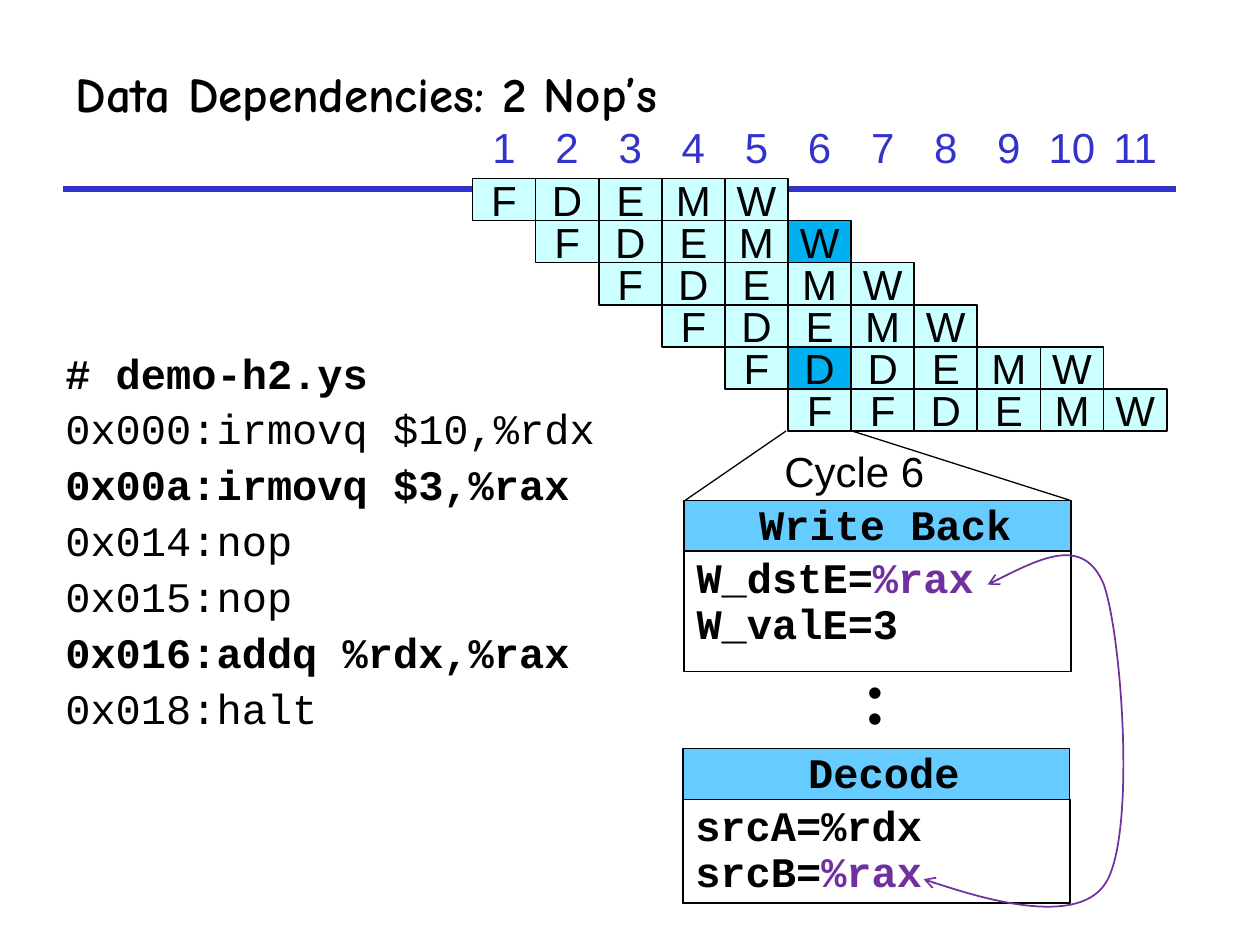
import pptx
import pptx.util
import pptx.dml.color
import pptx.enum.shapes
import pptx.enum.text
import pptx.oxml.ns
import lxml.etree

COLORS = {
    "ink": "000000", "paper": "FFFFFF", "rule": "3333CC", "stage": "CCFFFF",
    "active": "00B0F0", "header": "66CCFF", "register": "7030A0",
}
SANS, MONO, HEADING = "Arial", "Courier New", "Comic Neue"
COLUMNS, ROWS = 100, 75
ALIGN = pptx.enum.text.PP_ALIGN
ANCHOR = pptx.enum.text.MSO_ANCHOR
RECTANGLE = pptx.enum.shapes.MSO_SHAPE.RECTANGLE

deck = pptx.Presentation()
deck.slide_width = pptx.util.Inches(10)
deck.slide_height = pptx.util.Inches(7.5)
slide = deck.slides.add_slide(deck.slide_layouts[5])


def across(columns):
    return round(deck.slide_width * columns / COLUMNS)


def down(rows):
    return round(deck.slide_height * rows / ROWS)


def place(box):
    left, top, width, height = box
    return across(left), down(top), across(width), down(height)


def rgb(name):
    return pptx.dml.color.RGBColor.from_string(COLORS[name])


def add_run(paragraph, text, font=SANS, color="ink", bold=False, size=24):
    run = paragraph.add_run()
    run.text = text
    run.font.name = font
    run.font.size = pptx.util.Pt(size)
    run.font.bold = bold
    run.font.color.rgb = rgb(color)


def add_lines(frame, lines, space=0):
    for index, runs in enumerate(lines):
        paragraph = frame.paragraphs[0] if index == 0 else frame.add_paragraph()
        properties = paragraph._p.get_or_add_pPr()
        properties.set("marL", str(across(3.75)))
        properties.set("indent", str(-across(3.75)))
        paragraph.alignment = ALIGN.LEFT
        paragraph.line_spacing = 0.9
        paragraph.space_before = pptx.util.Pt(space if index else 0)
        for text, color, bold in runs:
            add_run(paragraph, text, MONO, color, bold)


def add_label(box, text, font=SANS, bold=False):
    frame = slide.shapes.add_textbox(*place(box)).text_frame
    frame.margin_left = frame.margin_right = frame.margin_top = frame.margin_bottom = 0
    frame.word_wrap = False
    paragraph = frame.paragraphs[0]
    paragraph.alignment = ALIGN.CENTER
    paragraph.line_spacing = 0.9
    add_run(paragraph, text, font, bold=bold)


def add_rectangle(box, fill, border=None):
    rectangle = slide.shapes.add_shape(RECTANGLE, *place(box))
    rectangle.shadow.inherit = False
    rectangle.fill.solid()
    rectangle.fill.fore_color.rgb = rgb(fill)
    if border:
        rectangle.line.color.rgb = rgb("ink")
        rectangle.line.width = pptx.util.Pt(border)
    else:
        rectangle.line.fill.background()
    return rectangle


def add_line(start, end, color, width):
    line = slide.shapes.add_connector(
        pptx.enum.shapes.MSO_CONNECTOR.STRAIGHT,
        across(start[0]), down(start[1]), across(end[0]), down(end[1]))
    line.line.color.rgb = rgb(color)
    line.line.width = pptx.util.Pt(width)
    lxml.etree.SubElement(line._element.spPr, pptx.oxml.ns.qn("a:effectLst"))


def add_heading(box, text):
    left, top, width, height = box
    title = slide.shapes.title
    title.left, title.top, title.width, title.height = place(box)
    title.text_frame.vertical_anchor = ANCHOR.MIDDLE
    title.text_frame.auto_size = pptx.enum.text.MSO_AUTO_SIZE.NONE
    paragraph = title.text_frame.paragraphs[0]
    paragraph.alignment = ALIGN.LEFT
    add_run(paragraph, text, HEADING, bold=True, size=28)
    rule = top + height + 3.4
    add_line((left, rule), (left + width - 5, rule), "rule", 3)


def add_listing(box, lines):
    frame = slide.shapes.add_textbox(*place(box)).text_frame
    frame.word_wrap = True
    add_lines(frame, lines, space=6)


def add_cell(box, text, fill, color="ink", border=None):
    cell = add_rectangle(box, fill, border)
    frame = cell.text_frame
    frame.word_wrap = False
    frame.vertical_anchor = ANCHOR.MIDDLE
    paragraph = frame.paragraphs[0]
    paragraph.alignment = ALIGN.CENTER
    add_run(paragraph, text, color=color)


def add_pipeline(box, cycles, instructions, active):
    left, top, width, height = box
    step_x = width / cycles
    step_y = height / (len(instructions) + 1.25)
    first_row = top + 1.25 * step_y
    for cycle in range(cycles):
        add_cell((left + cycle * step_x, top, step_x, step_y),
                 str(cycle + 1), "paper", "rule")
    for row, stages in enumerate(instructions):
        for column, stage in enumerate(stages, start=row):
            fill = "active" if (row, column) in active else "stage"
            add_cell((left + column * step_x, first_row + row * step_y, step_x, step_y),
                     stage, fill, border=1)


def add_stage_panel(box, name, lines):
    left, top, width, height = box
    header = 4.05
    add_rectangle(box, "header", 0.75)
    add_label((left + 0.6, top + 0.3, width, header - 0.3), name, MONO, True)
    body = add_rectangle((left, top + header, width, height - header), "paper", 1)
    body.text_frame.word_wrap = True
    body.text_frame.vertical_anchor = ANCHOR.TOP
    add_lines(body.text_frame, lines)


def add_zoom(box, cycle_left, cycle_right, caption):
    left, top, width, height = box
    add_line((cycle_left, top), (left, top + height), "ink", 0.75)
    add_line((cycle_right, top), (left + width, top + height), "ink", 0.75)
    add_label((62.2, top + 1.6, 11.2, 3.6), caption)


def add_ellipsis(box):
    left, top, width, height = box
    for dot in range(2):
        add_label((left, top + dot * height / 2, width, 3.6), "•")


def add_dependency(box, curve):
    left, top, width, height = box
    points = [(across(left + x * width), down(top + y * height)) for x, y in curve]
    builder = slide.shapes.build_freeform(*points[0], scale=1.0)
    builder.add_line_segments(points[1:], close=False)
    link = builder.convert_to_shape()
    link.shadow.inherit = False
    link.fill.background()
    link.line.color.rgb = rgb("register")
    link.line.width = pptx.util.Pt(1)
    qn = pptx.oxml.ns.qn
    segments = list(link._element.iter(qn("a:lnTo")))
    for start in range(0, len(segments), 3):
        bezier = lxml.etree.Element(qn("a:cubicBezTo"))
        segments[start].addprevious(bezier)
        for segment in segments[start:start + 3]:
            bezier.append(segment[0])
            segment.getparent().remove(segment)
    outline = link.line._get_or_add_ln()
    for end in ("a:headEnd", "a:tailEnd"):
        lxml.etree.SubElement(outline, qn(end), type="arrow")


def main():
    add_heading((5, 3.1, 93.3, 8.5), "Data Dependencies: 2 Nop’s")
    add_listing((4.2, 27.5, 49.2, 39.1), [
        [("# demo-h2.ys", "ink", True)],
        [("0x000:irmovq $10,%rdx", "ink", False)],
        [("0x00a:irmovq $3,%rax", "ink", True)],
        [("0x014:nop", "ink", False)],
        [("0x015:nop", "ink", False)],
        [("0x016:addq %rdx,%rax", "ink", True)],
        [("0x018:halt", "ink", False)],
    ])
    add_ellipsis((68.85, 53.3, 1.1, 4.1))
    add_stage_panel((54.2, 59.4, 30.7, 12.3), "Decode", [
        [("srcA=%rdx", "ink", True)],
        [("srcB=", "ink", True), ("%rax", "register", True)],
    ])
    add_stage_panel((54.3, 39.7, 30.7, 13.6), "Write Back", [
        [("W_dstE=", "ink", True), ("%rax", "register", True)],
        [("W_valE=3", "ink", True)],
    ])
    add_zoom((54.4, 34.2, 30.5, 5.5), 62.4, 67.6, "Cycle 6")
    add_pipeline((37.5, 10, 55.1, 24.2), 11,
                 ["FDEMW"] * 4 + ["FDDEMW", "FFDEMW"], {(1, 5), (4, 5)})
    add_dependency((73.3, 44.2, 15.9, 27.5), [
        (0.32, 0.08), (0.56, 0.01), (0.8, -0.06), (0.9, 0.08),
        (0.99, 0.23), (1.06, 0.8), (0.91, 0.94),
        (0.76, 1.08), (-0.01, 0.93), (0, 0.93),
    ])


if __name__ == "__main__":
    main()
    deck.save("out.pptx")
